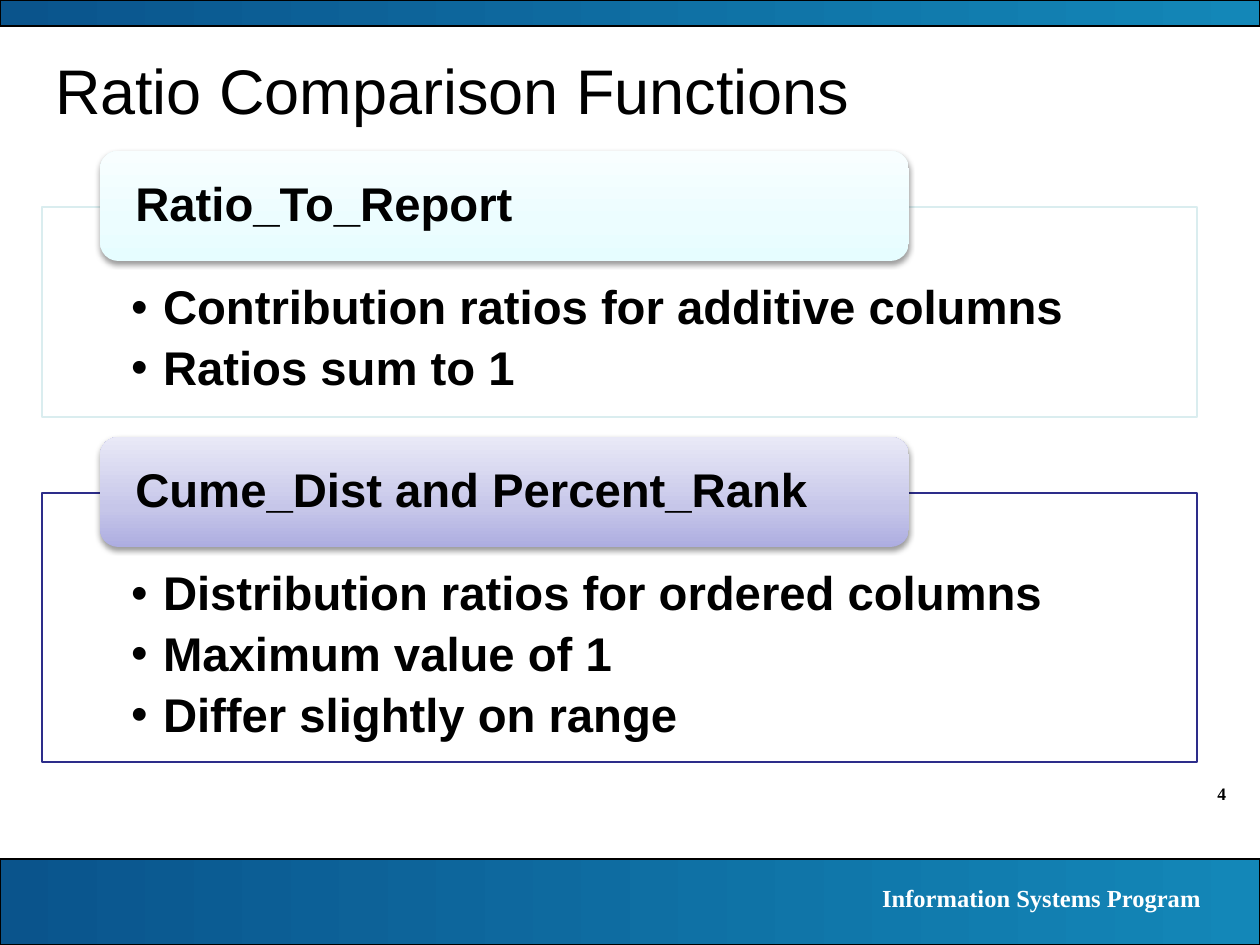
from lxml.etree import SubElement
from pptx import Presentation
from pptx.dml.color import RGBColor
from pptx.enum.shapes import MSO_SHAPE
from pptx.enum.text import MSO_ANCHOR, PP_ALIGN
from pptx.oxml.ns import qn
from pptx.util import Emu, Pt

EMU_PER_PX = 914400 / 126
BAR_STOPS = [(0, "0A548C"), (100, "1387B8")]


def px(length):
    return Emu(round(length * EMU_PER_PX))


def color(code):
    return RGBColor.from_string(code)


def add_node(parent, tag, **attributes):
    return SubElement(parent, qn(tag), {key: str(value) for key, value in attributes.items()})


def fill_gradient(shape, stops, angle):
    shape.fill.gradient()
    shape.fill.gradient_angle = angle
    stop_list = shape.fill._fill._gradFill.find(qn("a:gsLst"))
    for stop in list(stop_list):
        stop_list.remove(stop)
    for position, code in stops:
        stop = add_node(stop_list, "a:gs", pos=position * 1000)
        add_node(stop, "a:srgbClr", val=code)


def add_block(slide, preset, box):
    block = slide.shapes.add_shape(preset, *map(px, box))
    block.shadow.inherit = False
    return block


def set_outline(block, code):
    block.line.color.rgb = color(code)
    block.line.width = Pt(0.75)


def write(frame, lines, size, font="Arial", code="000000", bold=True,
          align=PP_ALIGN.LEFT, anchor=MSO_ANCHOR.TOP, insets=(13, 6, 13, 6)):
    frame.word_wrap = True
    frame.vertical_anchor = anchor
    frame.margin_left, frame.margin_top, frame.margin_right, frame.margin_bottom = map(px, insets)
    for index, line in enumerate(lines):
        paragraph = frame.add_paragraph() if index else frame.paragraphs[0]
        paragraph.text = line
        paragraph.alignment = align
        paragraph.font.name = font
        paragraph.font.size = Pt(size)
        paragraph.font.bold = bold
        paragraph.font.color.rgb = color(code)
    return frame.paragraphs


def add_label(slide, box, text, size, **style):
    label = slide.shapes.add_textbox(*map(px, box))
    write(label.text_frame, [text], size, **style)


def add_bar(slide, box):
    bar = add_block(slide, MSO_SHAPE.RECTANGLE, box)
    fill_gradient(bar, BAR_STOPS, 0)
    set_outline(bar, "000000")


def add_footer(slide, box):
    left, top, width, height = box
    add_bar(slide, box)
    add_label(slide, (left + 699, top + 18, 515, 43), "Information Systems Program", 14,
              font="Times New Roman", code="FFFFFF", align=PP_ALIGN.RIGHT)


def add_panel(slide, box, outline, points):
    panel = add_block(slide, MSO_SHAPE.RECTANGLE, box)
    panel.fill.solid()
    panel.fill.fore_color.rgb = color("FFFFFF")
    add_node(panel.fill._fill._solidFill[0], "a:alpha", val=90000)
    set_outline(panel, outline)
    for paragraph in write(panel.text_frame, points, 27, insets=(89, 77, 89, 26)):
        paragraph.line_spacing = 0.9
        paragraph.space_after = Pt(5.5)
        properties = paragraph._p.get_or_add_pPr()
        properties.set("marL", str(px(32)))
        properties.set("indent", str(px(-32)))
        add_node(properties, "a:buFont", typeface="Arial")
        add_node(properties, "a:buChar", char="•")
        properties.append(properties.find(qn("a:defRPr")))


def add_tab(slide, box, stops, heading):
    tab = add_block(slide, MSO_SHAPE.ROUNDED_RECTANGLE, box)
    fill_gradient(tab, stops, 90)
    tab.line.fill.background()
    effects = tab._element.spPr.find(qn("a:effectLst"))
    shadow = add_node(effects, "a:outerShdw", blurRad=Pt(3.1), dist=Pt(1.6),
                      dir=5400000, rotWithShape=0)
    add_node(add_node(shadow, "a:srgbClr", val="000000"), "a:alpha", val=38000)
    paragraphs = write(tab.text_frame, [heading], 27, anchor=MSO_ANCHOR.MIDDLE,
                       insets=(30, 0, 30, 0))
    paragraphs[0].line_spacing = 0.9


def add_section(slide, box, outline, shades, heading, points):
    left, top, width, height = box
    add_panel(slide, (left, top + 56, width, height - 56), outline, points)
    add_tab(slide, (left + 58, top, 809, 110), list(zip((0, 35, 100), shades)), heading)


def main():
    presentation = Presentation()
    presentation.slide_width, presentation.slide_height = px(1260), px(945)
    slide = presentation.slides.add_slide(presentation.slide_layouts[6])
    add_label(slide, (1134, 777, 105, 34), "4", 10, font="Times New Roman",
              align=PP_ALIGN.RIGHT)
    add_footer(slide, (0, 859, 1260, 86))
    add_bar(slide, (0, 0, 1260, 26))
    add_label(slide, (42, 42, 1155, 94), "Ratio Comparison Functions", 36, bold=False,
              anchor=MSO_ANCHOR.MIDDLE)
    add_section(slide, (42, 151, 1155, 266), "DAEDEF", ("E6FDFF", "ECFDFF", "F8FEFF"),
                "Ratio_To_Report",
                ["Contribution ratios for additive columns", "Ratios sum to 1"])
    add_section(slide, (42, 437, 1155, 325), "2D2D8A", ("ADADE1", "C6C6E9", "E9E9F7"),
                "Cume_Dist and Percent_Rank",
                ["Distribution ratios for ordered columns", "Maximum value of 1",
                 "Differ slightly on range"])
    presentation.save("out.pptx")


if __name__ == "__main__":
    main()
